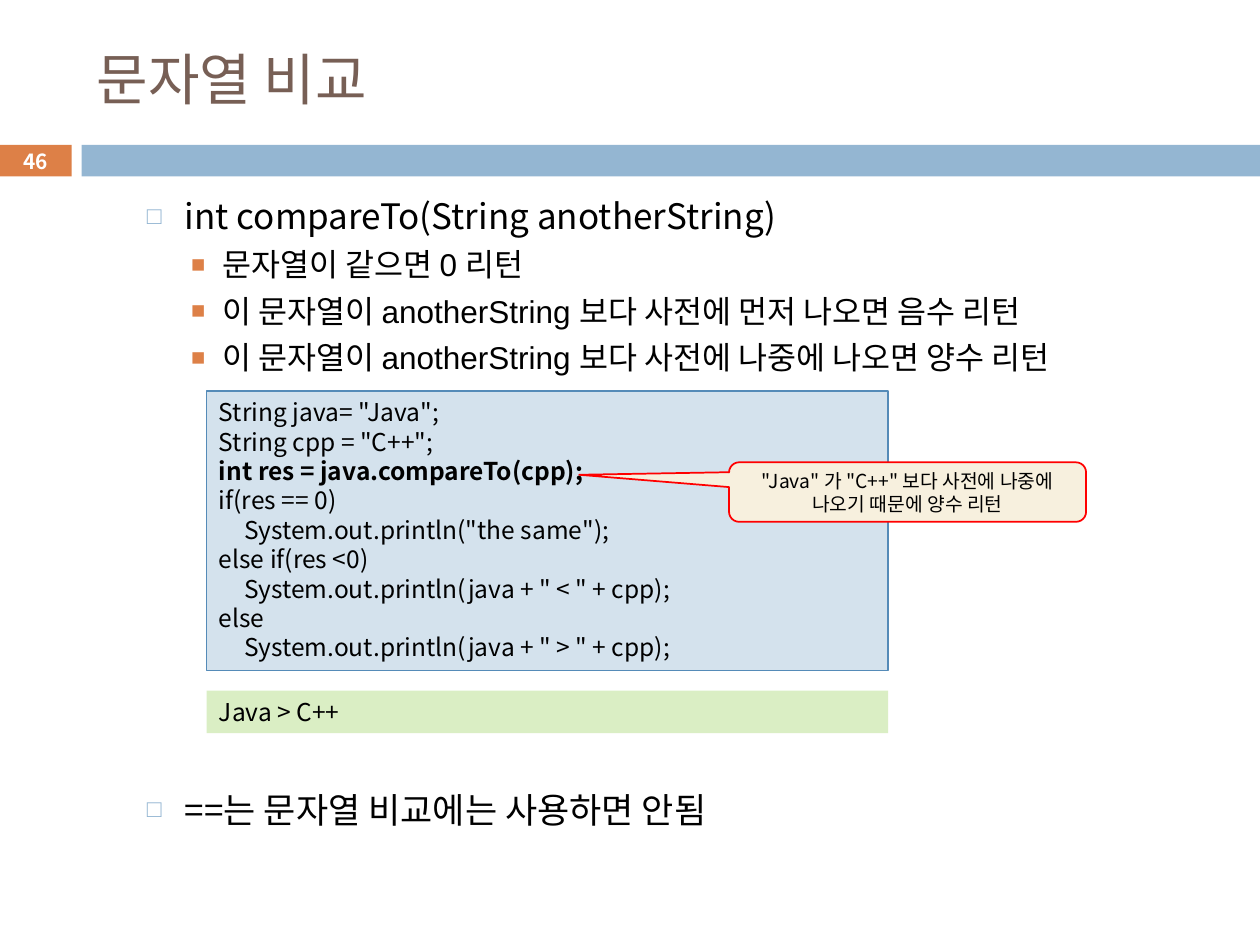
import pptx
import pptx.util
import pptx.dml.color
import pptx.enum.shapes
import pptx.enum.text
import pptx.oxml
import pptx.oxml.ns

Pt = pptx.util.Pt
SHAPES = pptx.enum.shapes.MSO_SHAPE
ALIGN = pptx.enum.text.PP_ALIGN
ANCHOR = pptx.enum.text.MSO_ANCHOR

COLOURS = {
    "orange": "DD8047", "blue": "94B6D2", "title": "775F55",
    "text": "000000", "white": "FFFFFF",
    "code": "D4E2ED", "code_line": "558BB8", "output": "DAEEC4",
    "note": "F7F0DE", "note_line": "FF0000",
}
SANS = "Noto Sans CJK KR"
LATIN = "Arial"

LEVELS = [
    {"mark": "□", "colour": "blue", "percent": 70, "margin": 50.4, "indent": -21.6,
     "size": 20, "font": SANS, "line": 26, "before": 5.5},
    {"mark": "■", "colour": "orange", "percent": 75, "margin": 72, "indent": -18,
     "size": 18, "font": LATIN, "line": 21.5, "before": 5},
]
BULLETS = [
    (0, "int compareTo(String anotherString)", 0),
    (1, "문자열이 같으면 0 리턴", 5),
    (1, "이 문자열이 anotherString 보다 사전에 먼저 나오면 음수 리턴", 5),
    (1, "이 문자열이 anotherString 보다 사전에 나중에 나오면 양수 리턴", 5),
    (0, "==는 문자열 비교에는 사용하면 안됨", 233.5),
]
CODE = [
    'String java= "Java";',
    'String cpp = "C++";',
    "int res = java.compareTo(cpp);",
    "if(res == 0)",
    '\tSystem.out.println("the same");',
    "else if(res <0)",
    '\tSystem.out.println(java + " < " + cpp);',
    "else",
    '\tSystem.out.println(java + " > " + cpp);',
]
KEY_LINE = 2


def rgb(name):
    return pptx.dml.color.RGBColor.from_string(COLOURS[name])


def add_element(parent, xml):
    namespace = pptx.oxml.ns.nsdecls("a")
    tag, rest = xml.split(" ", 1) if " " in xml else (xml, "")
    parent.append(pptx.oxml.parse_xml(f"<a:{tag} {namespace} {rest}"))


def add_span(para, text, size, colour="text", font=SANS, bold=False):
    span = para.add_run()
    span.text = text
    span.font.size = Pt(size)
    span.font.bold = bold
    span.font.name = font
    span.font.color.rgb = rgb(colour)
    add_element(span.font._element, f'ea typeface="{SANS}"/>')


def place(shape, box):
    shape.left, shape.top, shape.width, shape.height = [Pt(value) for value in box]


def add_box(page, box, fill, line=None, width=1, kind=SHAPES.RECTANGLE):
    shape = page.shapes.add_shape(kind, *[Pt(value) for value in box])
    shape.shadow.inherit = False
    shape.fill.solid()
    shape.fill.fore_color.rgb = rgb(fill)
    if line:
        shape.line.color.rgb = rgb(line)
        shape.line.width = Pt(width)
    else:
        shape.line.fill.background()
    shape.text_frame.word_wrap = True
    return shape


def add_title(page, box):
    title = page.shapes.title
    place(title, box)
    title.text_frame.vertical_anchor = ANCHOR.MIDDLE
    para = title.text_frame.paragraphs[0]
    para.alignment = ALIGN.LEFT
    add_span(para, "문자열 비교", 32, "title")


def add_band(page, box):
    left, top, width, height = box
    number_width, bar_left = 41, 46.6
    number = add_box(page, (left, top, number_width, height), "orange")
    add_box(page, (left + bar_left, top, width - bar_left, height), "blue")
    frame = number.text_frame
    frame.margin_top = frame.margin_bottom = 0
    frame.vertical_anchor = ANCHOR.MIDDLE
    para = frame.paragraphs[0]
    para.alignment = ALIGN.CENTER
    add_span(para, "46", 11.9, "white", bold=True)


def add_bullets(page, box):
    body = page.placeholders[1]
    place(body, box)
    frame = body.text_frame
    frame.auto_size = pptx.enum.text.MSO_AUTO_SIZE.NONE
    frame.vertical_anchor = ANCHOR.TOP
    for index, (level, text, before) in enumerate(BULLETS):
        style = LEVELS[level]
        para = frame.add_paragraph() if index else frame.paragraphs[0]
        para.level = level
        properties = para._p.get_or_add_pPr()
        properties.set("marL", str(Pt(style["margin"])))
        properties.set("indent", str(Pt(style["indent"])))
        colour = COLOURS[style["colour"]]
        add_element(properties, f'buClr ><a:srgbClr val="{colour}"/></a:buClr>')
        add_element(properties, f'buSzPct val="{style["percent"] * 1000}"/>')
        add_element(properties, f'buFont typeface="{LATIN}"/>')
        add_element(properties, f'buChar char="{style["mark"]}"/>')
        para.line_spacing = Pt(style["line"])
        para.space_before = Pt(before)
        add_span(para, text, style["size"], font=style["font"])


def add_listing(page, box, lines, fill, line=None, key_line=None):
    frame = add_box(page, box, fill, line, 0.75).text_frame
    frame.vertical_anchor = ANCHOR.TOP
    for index, text in enumerate(lines):
        para = frame.add_paragraph() if index else frame.paragraphs[0]
        add_element(para._p.get_or_add_pPr(),
                    f'tabLst ><a:tab pos="{Pt(14.4)}" algn="l"/></a:tabLst>')
        para.alignment = ALIGN.LEFT
        para.line_spacing = Pt(16.8)
        add_span(para, text, 14, bold=index == key_line)


def add_callout(page, box):
    callout = add_box(page, box, "note", "note_line",
                      kind=SHAPES.ROUNDED_RECTANGULAR_CALLOUT)
    for index, value in enumerate((-0.92, -0.29, 0.17)):
        callout.adjustments[index] = value
    callout.text_frame.vertical_anchor = ANCHOR.MIDDLE
    para = callout.text_frame.paragraphs[0]
    para.alignment = ALIGN.CENTER
    para.line_spacing = Pt(13.2)
    add_span(para, '"Java" 가 "C++" 보다 사전에 나중에 나오기 때문에 양수 리턴', 11)


def main():
    deck = pptx.Presentation()
    deck.slide_width, deck.slide_height = Pt(720), Pt(540)
    page = deck.slides.add_slide(deck.slide_layouts[1])
    add_band(page, (0, 82.8, 720, 18))
    add_title(page, (48, 18, 642, 53.3))
    add_bullets(page, (48, 105.8, 642, 396.7))
    add_listing(page, (118, 223.4, 389.5, 159.8), CODE, "code", "code_line", KEY_LINE)
    add_listing(page, (118, 394.6, 389.5, 24.4), ["Java > C++"], "output")
    add_callout(page, (416.6, 264.2, 204, 34))
    deck.save("out.pptx")


if __name__ == "__main__":
    main()
